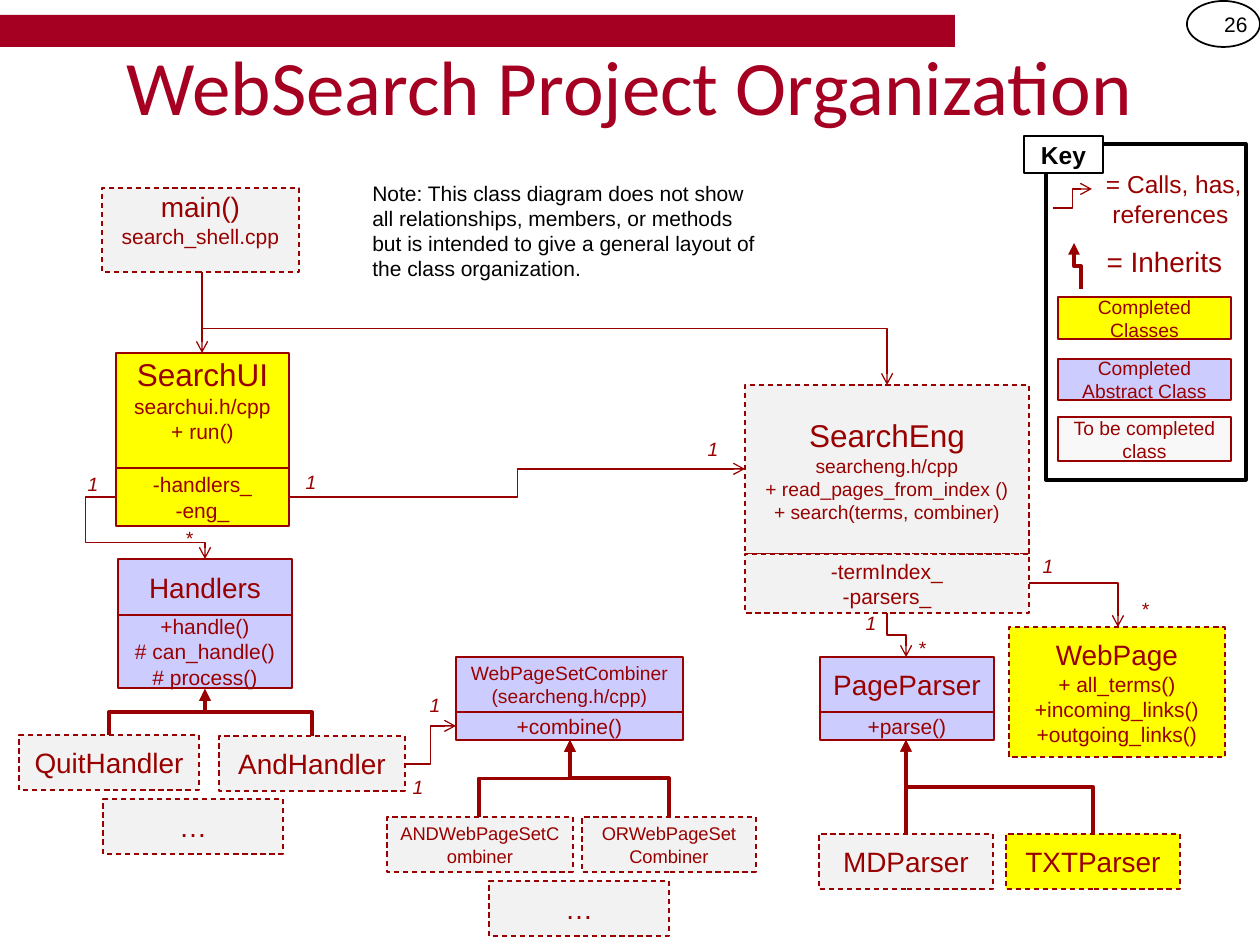
from lxml.etree import SubElement
from pptx import Presentation
from pptx.dml.color import RGBColor
from pptx.enum.dml import MSO_LINE
from pptx.enum.shapes import MSO_CONNECTOR, MSO_SHAPE
from pptx.enum.text import MSO_ANCHOR, PP_ALIGN
from pptx.oxml.ns import qn
from pptx.util import Emu, Pt

WIDTH, HEIGHT = 1260, 945
COLORS = {"crimson": "A50021", "maroon": "990000", "yellow": "FFFF00", "lilac": "CCCCFF",
          "gray": "F2F2F2", "pale": "F8F8F8", "white": "FFFFFF", "black": "000000"}


def px(length):
    return Emu(round(length * 914400 / 126))


def color(name):
    return RGBColor.from_string(COLORS[name])


def write(shape, lines, ink="maroon", align=PP_ALIGN.CENTER, anchor=MSO_ANCHOR.MIDDLE,
          bottom=6, **font_values):
    """Each line is a (text, size) pair and becomes one paragraph."""
    frame = shape.text_frame
    frame.word_wrap = True
    frame.vertical_anchor = anchor
    frame.margin_bottom = px(bottom)
    for index, (text, size) in enumerate(lines):
        paragraph = frame.add_paragraph() if index else frame.paragraphs[0]
        paragraph.alignment = align
        run = paragraph.add_run()
        run.text = text
        run.font.color.rgb = color(ink)
        for name, value in {"name": "Arial", "size": Pt(size), **font_values}.items():
            setattr(run.font, name, value)


def add_text(slide, box, lines, anchor=MSO_ANCHOR.TOP, **values):
    write(slide.shapes.add_textbox(*map(px, box)), lines, anchor=anchor, **values)


def add_box(slide, box, fill=None, line="maroon", weight=0.75, dashed=False,
            kind=MSO_SHAPE.RECTANGLE):
    shape = slide.shapes.add_shape(kind, *map(px, box))
    shape.shadow.inherit = False
    if fill:
        shape.fill.solid()
        shape.fill.fore_color.rgb = color(fill)
    else:
        shape.fill.background()
    if line:
        shape.line.color.rgb = color(line)
        shape.line.width = Pt(weight)
        if dashed:
            shape.line.dash_style = MSO_LINE.DASH
    else:
        shape.line.fill.background()
    return shape


def add_link(slide, start, end, inherits=False, vertical=False, preset=None, adjust=()):
    """Elbow arrow; a vertical one leaves its start upwards or downwards."""
    (x1, y1), (x2, y2) = start, end
    kind = MSO_CONNECTOR.STRAIGHT if x1 == x2 else MSO_CONNECTOR.ELBOW
    link = slide.shapes.add_connector(kind, px(x1), px(y1), px(x2), px(y2))
    link.line.color.rgb = color("maroon")
    link.line.width = Pt(2.25 if inherits else 0.75)
    properties = link._element.spPr
    SubElement(properties.find(qn("a:ln")), qn("a:tailEnd"),
               type="triangle" if inherits else "arrow")
    SubElement(properties, qn("a:effectLst"))
    geometry = properties.find(qn("a:prstGeom"))
    if preset:
        geometry.set("prst", preset)
    for number, value in enumerate(adjust, 1):
        SubElement(geometry.find(qn("a:avLst")), qn("a:gd"),
                   name=f"adj{number}", fmla=f"val {value}")
    if vertical and x1 != x2:
        # Turn a level elbow by 270 degrees about its centre
        across, along = abs(x2 - x1), abs(y2 - y1)
        link.left, link.top = px((x1 + x2 - along) / 2), px((y1 + y2 - across) / 2)
        link.width, link.height = px(along), px(across)
        frame = properties.find(qn("a:xfrm"))
        frame.set("rot", "16200000")
        frame.set("flipH", str(int(y2 > y1)))
        frame.set("flipV", str(int(x2 < x1)))


def draw_header(slide, left, top):
    add_box(slide, (left, top + 15, 955, 32), "crimson", None)
    number_box = (left + 1187, top + 1, 73, 46)
    add_box(slide, number_box, line="black", weight=1, kind=MSO_SHAPE.OVAL)
    add_text(slide, number_box, [("26", 12)], MSO_ANCHOR.MIDDLE, ink="black",
             align=PP_ALIGN.RIGHT)
    add_text(slide, (left + 63, top + 38, 1134, 94), [("WebSearch Project Organization", 44)],
             MSO_ANCHOR.MIDDLE, ink="crimson", name="Calibri")


def draw_key(slide, left, top, width, height):
    add_box(slide, (left, top, width, height), line="black", weight=2)
    add_link(slide, (left + 7, top + 64), (left + 46, top + 45))
    add_link(slide, (left + 35, top + 145), (left + 28, top + 99), inherits=True, vertical=True)
    add_text(slide, (left + 35, top + 19, 179, 49), [(" = Calls, has, references", 14)])
    add_text(slide, (left + 29, top + 94, 179, 42), [("= Inherits", 16)])
    for offset, row_height, fill, label in [
            (153, 42, "yellow", "Completed Classes"),
            (215, 41, "lilac", "Completed Abstract Class"),
            (273, 44, "pale", "To be completed class")]:
        row = add_box(slide, (left + 12, top + offset, 173, row_height), fill)
        write(row, [(label, 11)])
    title = add_box(slide, (left - 22, top - 8, 79, 37), "white", "black")
    write(title, [("Key", 14)], ink="black", bold=True)


def draw_class(slide, box, fill, lines, members=(), member_height=0, dashed=False, bottom=6):
    """Class box with an optional member compartment under it."""
    left, top, width, height = box
    write(add_box(slide, box, fill, dashed=dashed), lines, bottom=bottom)
    if members:
        part = add_box(slide, (left, top + height, width, member_height), fill, dashed=dashed)
        write(part, [(member, 12) for member in members])


def draw_classes(slide):
    draw_class(slide, (102, 188, 197, 84), "gray", [("main()", 16), ("search_shell.cpp", 12)],
               dashed=True, bottom=28)
    draw_class(slide, (116, 353, 173, 115), "yellow",
               [("SearchUI", 18), ("searchui.h/cpp", 12), ("+ run()", 12)],
               ["-handlers_", "-eng_"], 58, bottom=28)
    draw_class(slide, (745, 385, 284, 169), "gray",
               [("SearchEng", 18), ("searcheng.h/cpp", 11), ("+ read_pages_from_index ()", 11),
                ("+ search(terms, combiner)", 11)],
               ["-termIndex_", "-parsers_"], 59, dashed=True)
    draw_class(slide, (118, 559, 174, 56), "lilac", [("Handlers", 16)],
               ["+handle()", "# can_handle()", "# process()"], 73)
    draw_class(slide, (456, 657, 227, 55), "lilac",
               [("WebPageSetCombiner", 11), ("(searcheng.h/cpp)", 11)], ["+combine()"], 28)
    draw_class(slide, (820, 657, 174, 55), "lilac", [("PageParser", 16)], ["+parse()"], 28)
    draw_class(slide, (1009, 627, 216, 130), "yellow",
               [("WebPage", 16), ("+ all_terms()", 12), ("+incoming_links()", 12),
                ("+outgoing_links()", 12)], dashed=True)
    # Derived classes
    for left, top, width, fill, size, names in [
            (19, 735, 180, "gray", 16, ["QuitHandler"]),
            (219, 736, 186, "gray", 16, ["AndHandler"]),
            (103, 799, 180, "gray", 16, ["…"]),
            (387, 817, 186, "gray", 10.5, ["ANDWebPageSetCombiner"]),
            (582, 817, 174, "gray", 10.5, ["ORWebPageSet", "Combiner"]),
            (489, 881, 180, "gray", 16, ["…"]),
            (819, 834, 174, "gray", 16, ["MDParser"]),
            (1006, 834, 174, "yellow", 16, ["TXTParser"])]:
        draw_class(slide, (left, top, width, 55), fill, [(name, size) for name in names],
                   dashed=True)


def draw_links(slide):
    # Calls and references
    add_link(slide, (202, 272), (202, 353))
    add_link(slide, (202, 272), (887, 385), vertical=True)
    add_link(slide, (290, 497), (745, 469))
    add_link(slide, (405, 764), (456, 726))
    add_link(slide, (887, 613), (906, 657), vertical=True)
    add_link(slide, (1029, 583), (1118, 627), preset="bentConnector2")
    add_link(slide, (117, 497), (205, 559), preset="bentConnector4", adjust=(-35800, 73100))
    # Inheritance
    for parent, children in [((205, 689), [(109, 735), (312, 736)]),
                             ((570, 740), [(479, 817), (669, 817)]),
                             ((906, 740), [(906, 834), (1093, 834)])]:
        for child in children:
            add_link(slide, child, parent, inherits=True, vertical=True)
    # Multiplicities
    for mark, places in {
            "1": [(845, 605), (392, 769), (687, 431), (67, 466), (409, 687), (285, 464),
                  (1022, 548)],
            "*": [(896, 630), (163, 520), (1119, 591)]}.items():
        for left, top in places:
            add_text(slide, (left, top, 52, 33), [(mark, 11)], italic=True)


presentation = Presentation()
presentation.slide_width, presentation.slide_height = px(WIDTH), px(HEIGHT)
slide = presentation.slides.add_slide(presentation.slide_layouts[6])
draw_header(slide, 0, 0)
draw_key(slide, 1046, 144, 200, 336)
draw_classes(slide)
draw_links(slide)
add_text(slide, (360, 174, 417, 108),
         [("Note: This class diagram does not show all relationships, members, or methods but is "
           "intended to give a general layout of the class organization.", 12)],
         ink="black", align=PP_ALIGN.LEFT)
presentation.save("out.pptx")
